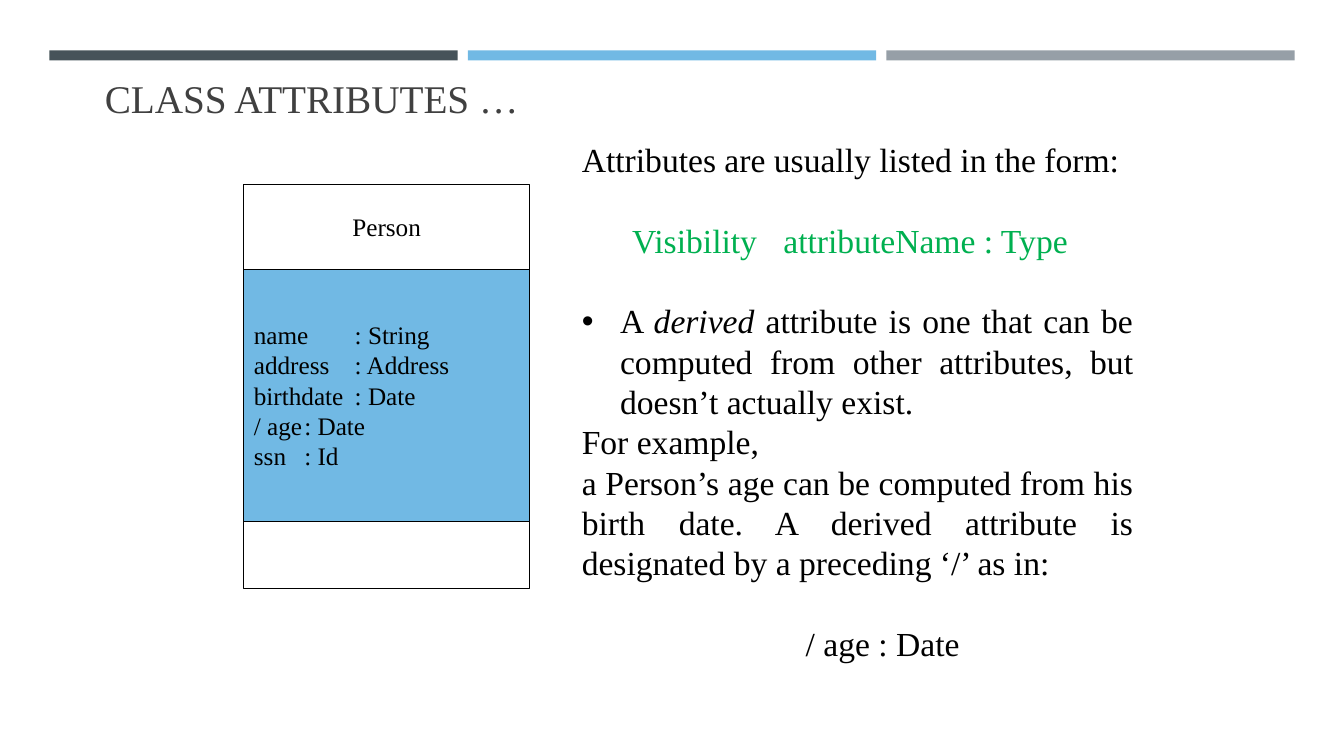
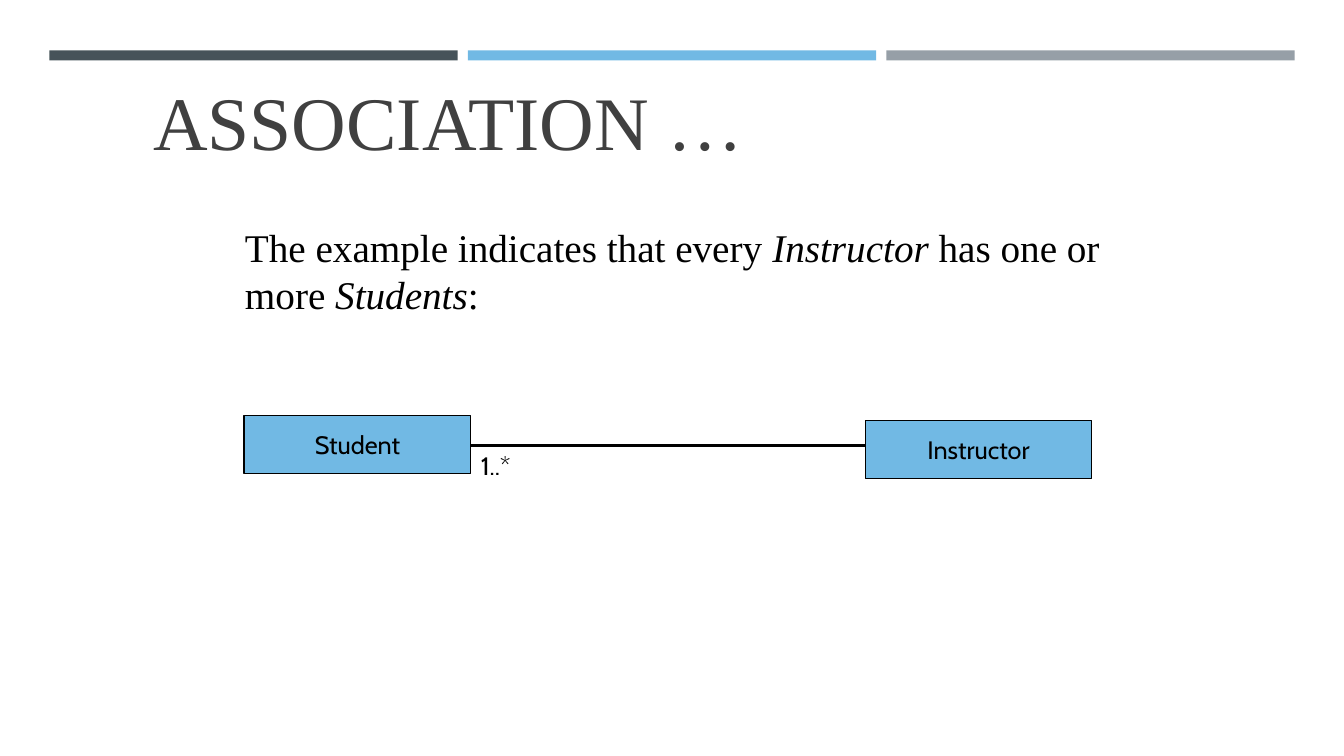
"""Build two slides on class attributes and associations."""

from dataclasses import dataclass

from lxml.etree import SubElement
from pptx import Presentation
from pptx.dml.color import RGBColor
from pptx.enum.shapes import MSO_CONNECTOR, MSO_SHAPE
from pptx.enum.text import MSO_ANCHOR, MSO_AUTO_SIZE, PP_ALIGN
from pptx.oxml.ns import qn
from pptx.util import Inches, Pt


@dataclass(frozen=True)
class Theme:
    black: RGBColor = RGBColor.from_string("000000")
    white: RGBColor = RGBColor.from_string("FFFFFF")
    slate: RGBColor = RGBColor.from_string("465359")
    blue: RGBColor = RGBColor.from_string("71B9E4")
    gray: RGBColor = RGBColor.from_string("969FA7")
    title_color: RGBColor = RGBColor.from_string("404040")
    green: RGBColor = RGBColor.from_string("00B050")
    serif: str = "Times New Roman"
    sans: str = "Cabin"
    label_size: int = 18
    body_size: int = 24
    heading_size: int = 28
    display_size: int = 54
    leading: float = 1.2


theme = Theme()


def write_text(frame, paragraphs, name, size, color=theme.black, anchor=MSO_ANCHOR.TOP):
    frame_format = {"word_wrap": True, "auto_size": MSO_AUTO_SIZE.NONE, "vertical_anchor": anchor}
    for attribute, value in frame_format.items():
        setattr(frame, attribute, value)
    for index, content in enumerate(paragraphs):
        paragraph = frame.paragraphs[0] if index == 0 else frame.add_paragraph()
        properties = paragraph._p.get_or_add_pPr()
        indent = content.get("indent", 0)
        bullet = content.get("bullet")
        properties.set("marL", str(Inches(indent)))
        properties.set("indent", str(-Inches(indent) if bullet else 0))
        if bullet:
            SubElement(properties, qn("a:buChar"), char=bullet)
        else:
            SubElement(properties, qn("a:buNone"))
        if "tabs" in content:
            tab_list = SubElement(properties, qn("a:tabLst"))
            for position in content["tabs"]:
                SubElement(tab_list, qn("a:tab"), pos=str(Inches(position)), algn="l")
        paragraph_format = {
            "alignment": content.get("align", PP_ALIGN.LEFT),
            "space_before": Pt(size * theme.leading * content.get("lines_before", 0)),
            "space_after": Pt(0),
        }
        if name == theme.serif:
            paragraph_format["line_spacing"] = Pt(size * theme.leading)
        for attribute, value in paragraph_format.items():
            setattr(paragraph, attribute, value)
        for text, *style in content["runs"]:
            run = paragraph.add_run()
            run.text = text
            run_format = {"name": name, "size": Pt(size), "bold": False, "italic": "italic" in style}
            for attribute, value in run_format.items():
                setattr(run.font, attribute, value)
            run.font.color.rgb = content.get("color", color)


def add_rectangle(slide, left, top, width, height, fill, outline=None):
    shape = slide.shapes.add_shape(
        MSO_SHAPE.RECTANGLE, Inches(left), Inches(top), Inches(width), Inches(height)
    )
    shape.shadow.inherit = False
    shape.fill.solid()
    shape.fill.fore_color.rgb = fill
    if outline is None:
        shape.line.fill.background()
    else:
        shape.line.color.rgb = outline
        shape.line.width = Pt(0.75)
    return shape


presentation = Presentation()
presentation.slide_width = Inches(13.33)
presentation.slide_height = Inches(7.5)

attribute_notes = [
    {"runs": [("Attributes are usually listed in the form:",)]},
    {
        "runs": [("\tVisibility\tattributeName : Type",)],
        "tabs": (0.92, 2.39),
        "color": theme.green,
        "lines_before": 1,
    },
    {
        "runs": [
            ("A ",),
            ("derived", "italic"),
            (" attribute is one that can be computed from other attributes, but doesn’t actually exist.",),
        ],
        "align": PP_ALIGN.JUSTIFY,
        "indent": 0.38,
        "bullet": "•",
        "lines_before": 1,
    },
    {"runs": [("For example,",)]},
    {
        "runs": [
            (
                "a Person’s age can be computed from his birth date. "
                "A derived attribute is designated by a preceding ‘/’ as in:",
            )
        ],
        "align": PP_ALIGN.JUSTIFY,
    },
    {"runs": [("/ age : Date",)], "align": PP_ALIGN.CENTER, "indent": 0.5, "lines_before": 1},
]
association_notes = [
    {
        "runs": [
            ("The example indicates that every ",),
            ("Instructor", "italic"),
            (" has one or more ",),
            ("Students", "italic"),
            (":",),
        ]
    }
]
pages = [
    ("CLASS ATTRIBUTES …", (0.94, 0.67, 11.44, 0.58), theme.heading_size,
     attribute_notes, (5.67, 1.33, 5.67, 5.35), theme.body_size),
    ("ASSOCIATION …", (1.42, 1.11, 9, 0.58), theme.display_size,
     association_notes, (2.33, 2.17, 8.87, 1.04), theme.heading_size),
]
slides = []
for title, title_area, title_size, notes, notes_area, notes_size in pages:
    slide = presentation.slides.add_slide(presentation.slide_layouts[1])
    slides.append(slide)
    for placeholder, area in zip(slide.placeholders, (title_area, notes_area)):
        for attribute, value in zip(("left", "top", "width", "height"), area):
            setattr(placeholder, attribute, Inches(value))
    write_text(slide.shapes.title.text_frame, [{"runs": [(title,)]}], theme.serif, title_size,
               theme.title_color, MSO_ANCHOR.BOTTOM)
    write_text(slide.placeholders[1].text_frame, notes, theme.serif, notes_size)

attribute_slide, association_slide = slides

master_shapes = presentation.slide_master.shapes.element
for index, color in enumerate((theme.slate, theme.blue, theme.gray)):
    band = add_rectangle(attribute_slide, 0.49 + 4.15 * index, 0.5, 4.05, 0.1, color)
    band.element.nvSpPr.cNvPr.set("id", str(20 + index))
    master_shapes.append(band.element)

person_attributes = [
    ("name", "String"),
    ("address", "Address"),
    ("birthdate", "Date"),
    ("/ age", "Date"),
    ("ssn", "Id"),
]
attribute_lines = [
    {"runs": [(f"{name}\t: {kind}",)], "tabs": (0.94,)} for name, kind in person_attributes
]
compartments = [
    (0.84, theme.white, [{"runs": [("Person",)], "align": PP_ALIGN.CENTER}]),
    (2.5, theme.blue, attribute_lines),
    (0.67, theme.white, []),
]
top = 1.83
for height, fill, lines in compartments:
    compartment = add_rectangle(attribute_slide, 2.42, top, 2.83, height, fill, theme.black)
    write_text(compartment.text_frame, lines, theme.serif, theme.label_size,
               anchor=MSO_ANCHOR.MIDDLE)
    top += height

association_line = association_slide.shapes.add_connector(
    MSO_CONNECTOR.STRAIGHT, Inches(4.67), Inches(4.42), Inches(8.67), Inches(4.42)
)
association_line.line.color.rgb = theme.black
association_line.line.width = Pt(2.25)
SubElement(association_line.element.spPr, qn("a:effectLst"))

for name, left, top in (("Instructor", 8.58, 4.17), ("Student", 2.42, 4.12)):
    class_box = add_rectangle(association_slide, left, top, 2.25, 0.58, theme.blue, theme.black)
    write_text(class_box.text_frame, [{"runs": [(name,)], "align": PP_ALIGN.CENTER}],
               theme.sans, theme.label_size, anchor=MSO_ANCHOR.MIDDLE)

multiplicity = association_slide.shapes.add_textbox(
    Inches(4.67), Inches(4.42), Inches(0.75), Inches(0.4)
)
write_text(multiplicity.text_frame, [{"runs": [("1..*",)]}], theme.sans, theme.label_size)

presentation.save("out.pptx")
